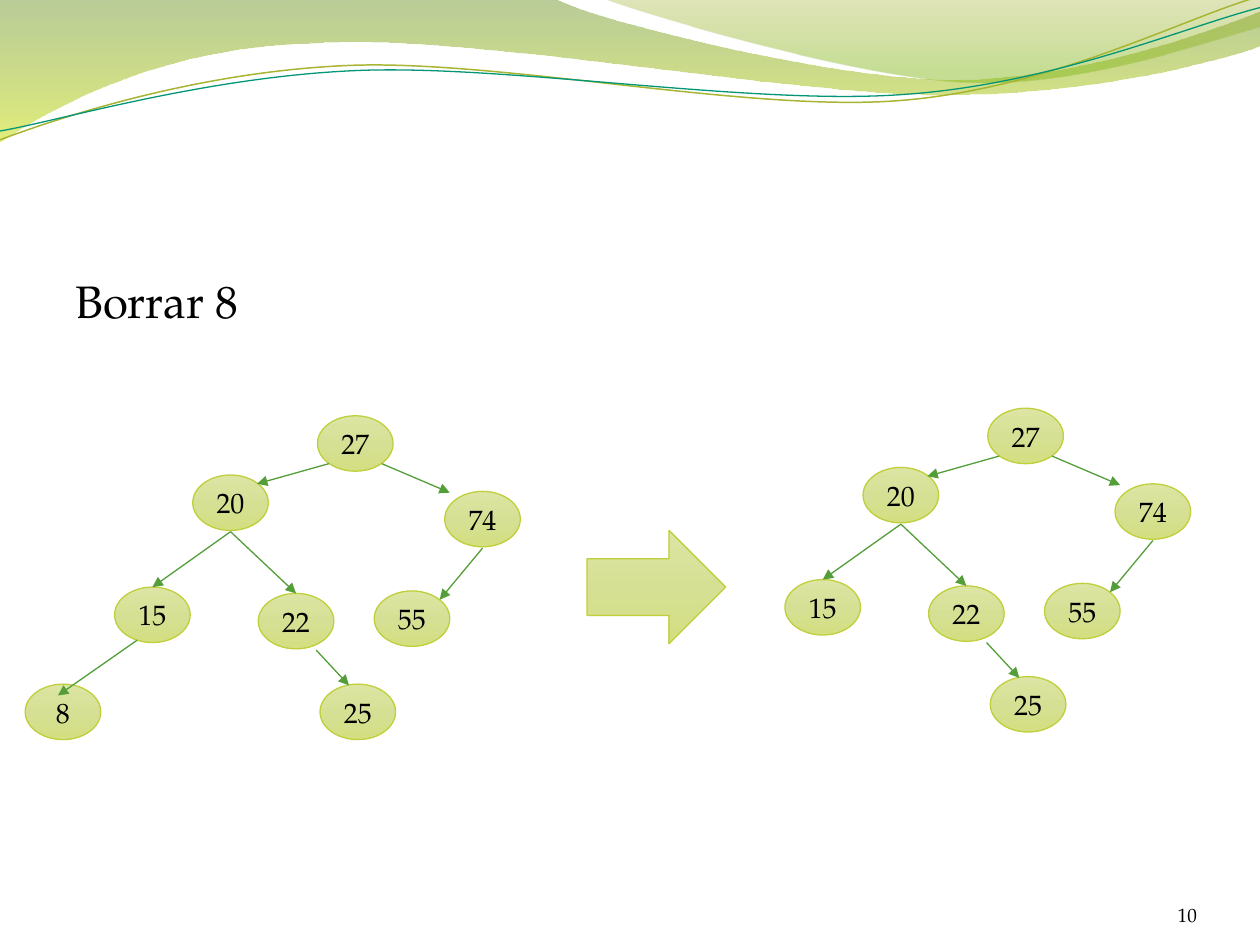
from math import cos, radians, sin

from pptx import Presentation
from pptx.dml.color import RGBColor
from pptx.enum.shapes import MSO_CONNECTOR, MSO_SHAPE
from pptx.enum.text import MSO_ANCHOR, PP_ALIGN
from pptx.oxml import parse_xml
from pptx.oxml.ns import nsdecls, qn
from pptx.util import Inches, Pt

FONT = "TeX Gyre Pagella"
BLACK = RGBColor(0x00, 0x00, 0x00)
OUTLINE = RGBColor(0xC0, 0xCF, 0x3A)
EDGE = RGBColor(0x54, 0x9E, 0x39)
OLIVE = RGBColor(0xA8, 0xB5, 0x32)
TEAL = RGBColor(0x02, 0x96, 0x76)

# Gradient stops: position, colour and opacity in percent
NODE_FILL = [(0, RGBColor(0xDC, 0xE5, 0xA3), 100), (50, RGBColor(0xD6, 0xE0, 0x95), 100),
             (100, RGBColor(0xD4, 0xDF, 0x81), 100)]
WAVE_FILL = [(0, RGBColor(0x66, 0x8F, 0x1B), 45), (100, RGBColor(0xCA, 0xE0, 0x0E), 55)]
CREST_FILL = [(0, RGBColor(0x99, 0xA7, 0x19), 30), (80, RGBColor(0x80, 0xB8, 0x14), 45),
              (100, RGBColor(0x80, 0xB8, 0x14), 45)]

# Outlines: a start point, then line ends (2 numbers) or Bezier curves (6 numbers)
WAVE = [(0, 0), (4.4, -0.01), (4.75, 0.17, 6.63, 0.63, 7.58, 0.63),
        (8.53, 0.63, 9.58, 0.26, 10, 0.09), (10.01, 0.36),
        (9.83, 0.44, 8.69, 0.76, 7.46, 0.75), (6.22, 0.75, 3.81, 0.28, 2.57, 0.34),
        (1.29, 0.36, 0.46, 0.83, -0.01, 1.13), (0, 0)]
CREST = [(4.79, -0.01), (5.09, 0.11, 6.82, 0.62, 7.68, 0.65),
         (8.55, 0.69, 9.61, 0.32, 10, 0.21), (10, 0), (4.79, -0.01)]
OLIVE_CURVE = [(0, 1.11), (0.48, 0.93, 1.57, 0.57, 2.76, 0.52),
               (3.95, 0.47, 5.92, 0.89, 7.12, 0.8), (8.33, 0.71, 9.38, 0.15, 9.97, -0.02)]
TEAL_CURVE = [(0, 1.04), (0.47, 0.96, 1.63, 0.61, 2.83, 0.56),
              (4.02, 0.51, 5.97, 0.84, 7.17, 0.75), (8.36, 0.67, 9.41, 0.21, 10, 0.06)]
CURVE_ROTATION = -2.7

# Outline, frame (left, top, width, height), then fill or line
BANDS = [(WAVE, (-0.01, -0.01, 10.02, 1.14), WAVE_FILL),
         (CREST, (4.79, -0.01, 5.21, 0.7), CREST_FILL)]
CURVES = [(OLIVE_CURVE, (-0.02, 0.22, 10.02, 0.71), OLIVE, 0.85),
          (TEAL_CURVE, (-0.02, 0.3, 10.03, 0.58), TEAL, 0.75)]

NODE_WIDTH, NODE_HEIGHT = 0.6, 0.44
NODES = {"27": (2.52, 3.3), "74": (3.53, 3.9), "20": (1.53, 3.77), "55": (2.97, 4.69),
         "22": (2.05, 4.71), "15": (0.91, 4.66), "25": (2.54, 5.43)}
EDGES = [(2.61, 3.68, 2.04, 3.84), (3.03, 3.68, 3.57, 3.91), (1.83, 4.22, 1.21, 4.66),
         (1.83, 4.22, 2.35, 4.71), (3.83, 4.35, 3.49, 4.76), (2.51, 5.16, 2.77, 5.44)]
DELETED_NODE = {"8": (0.2, 5.43)}
DELETED_EDGE = [(1.09, 5.08, 0.46, 5.52)]
AFTER_SHIFT = (5.32, -0.06)


def fill_gradient(shape, stops):
    """Fill a shape with a top-to-bottom gradient."""
    shape.fill.gradient()
    properties = shape._element.spPr
    stop_xml = "".join(
        f'<a:gs pos="{position * 1000}"><a:srgbClr val="{color}">'
        f'<a:alpha val="{opacity * 1000}"/></a:srgbClr></a:gs>'
        for position, color, opacity in stops)
    gradient = parse_xml(f'<a:gradFill {nsdecls("a")} rotWithShape="1"><a:gsLst>{stop_xml}'
                         '</a:gsLst><a:lin ang="5400000" scaled="0"/></a:gradFill>')
    properties.replace(properties.find(qn("a:gradFill")), gradient)


def set_line(shape, color, width=0.75):
    shape.line.color.rgb = color
    shape.line.width = Pt(width)


def point_xml(x, y, frame, rotation):
    """Place a slide point inside a frame that is turned about its centre."""
    left, top, width, height = frame
    dx, dy = x - left - width / 2, y - top - height / 2
    turn = radians(-rotation)
    local_x = width / 2 + dx * cos(turn) - dy * sin(turn)
    local_y = height / 2 + dx * sin(turn) + dy * cos(turn)
    return f'<a:pt x="{Inches(local_x)}" y="{Inches(local_y)}"/>'


def add_outline(page, outline, frame, rotation=0):
    """Draw a freeform whose segments are true lines and Bezier curves."""
    start, *ends = [(Inches(segment[-2]), Inches(segment[-1])) for segment in outline]
    builder = page.shapes.build_freeform(*start)
    builder.add_line_segments(ends, close=False)
    shape = builder.convert_to_shape()
    shape.shadow.inherit = False
    shape.left, shape.top, shape.width, shape.height = map(Inches, frame)
    shape.rotation = rotation

    commands = ""
    for index, segment in enumerate(outline):
        tag = "moveTo" if index == 0 else "lnTo" if len(segment) == 2 else "cubicBezTo"
        points = "".join(point_xml(x, y, frame, rotation)
                         for x, y in zip(segment[::2], segment[1::2]))
        commands += f"<a:{tag}>{points}</a:{tag}>"
    if outline[0] == outline[-1]:
        commands += "<a:close/>"
    curve = parse_xml(f'<a:path {nsdecls("a")} w="{shape.width}" h="{shape.height}">'
                      f'{commands}</a:path>')
    paths = shape._element.spPr.find(".//" + qn("a:pathLst"))
    paths.replace(paths[0], curve)
    return shape


def write(shape, text, size, align=PP_ALIGN.LEFT):
    shape.text_frame.word_wrap = True
    para = shape.text_frame.paragraphs[0]
    para.text = text
    para.alignment = align
    para.font.size = Pt(size)
    para.font.name = FONT
    para.font.color.rgb = BLACK


def add_green_shape(page, kind, left, top, width, height):
    shape = page.shapes.add_shape(kind, Inches(left), Inches(top), Inches(width), Inches(height))
    shape.shadow.inherit = False
    fill_gradient(shape, NODE_FILL)
    set_line(shape, OUTLINE)
    return shape


def add_tree(page, nodes, edges, shift=(0, 0)):
    dx, dy = shift
    for label, (left, top) in nodes.items():
        node = add_green_shape(page, MSO_SHAPE.OVAL, left + dx, top + dy, NODE_WIDTH, NODE_HEIGHT)
        node.text_frame.vertical_anchor = MSO_ANCHOR.MIDDLE
        write(node, label, 16, PP_ALIGN.CENTER)
    for x1, y1, x2, y2 in edges:
        edge = page.shapes.add_connector(MSO_CONNECTOR.STRAIGHT, Inches(x1 + dx), Inches(y1 + dy),
                                         Inches(x2 + dx), Inches(y2 + dy))
        set_line(edge, EDGE)
        properties = edge._element.spPr
        properties.find(qn("a:ln")).append(
            parse_xml(f'<a:tailEnd {nsdecls("a")} type="triangle"/>'))
        properties.append(parse_xml(f'<a:effectLst {nsdecls("a")}/>'))


def main():
    deck = Presentation()
    deck.slide_width, deck.slide_height = Inches(10), Inches(7.5)
    page = deck.slides.add_slide(deck.slide_layouts[6])

    for outline, frame, stops in BANDS:
        band = add_outline(page, outline, frame)
        fill_gradient(band, stops)
        band.line.fill.background()
    for outline, frame, color, width in CURVES:
        curve = add_outline(page, outline, frame, CURVE_ROTATION)
        curve.fill.background()
        set_line(curve, color, width)

    heading = page.shapes.add_textbox(Inches(0.5), Inches(2.12), Inches(9), Inches(4.8))
    write(heading, "Borrar 8", 26)

    number = page.shapes.add_textbox(Inches(8.67), Inches(6.95), Inches(0.83), Inches(0.4))
    frame = number.text_frame
    frame.margin_left = frame.margin_right = frame.margin_top = frame.margin_bottom = 0
    frame.vertical_anchor = MSO_ANCHOR.BOTTOM
    write(number, "10", 11, PP_ALIGN.RIGHT)

    add_green_shape(page, MSO_SHAPE.RIGHT_ARROW, 4.66, 4.21, 1.1, 0.9)
    add_tree(page, NODES | DELETED_NODE, EDGES + DELETED_EDGE)
    add_tree(page, NODES, EDGES, AFTER_SHIFT)
    deck.save("out.pptx")


if __name__ == "__main__":
    main()
